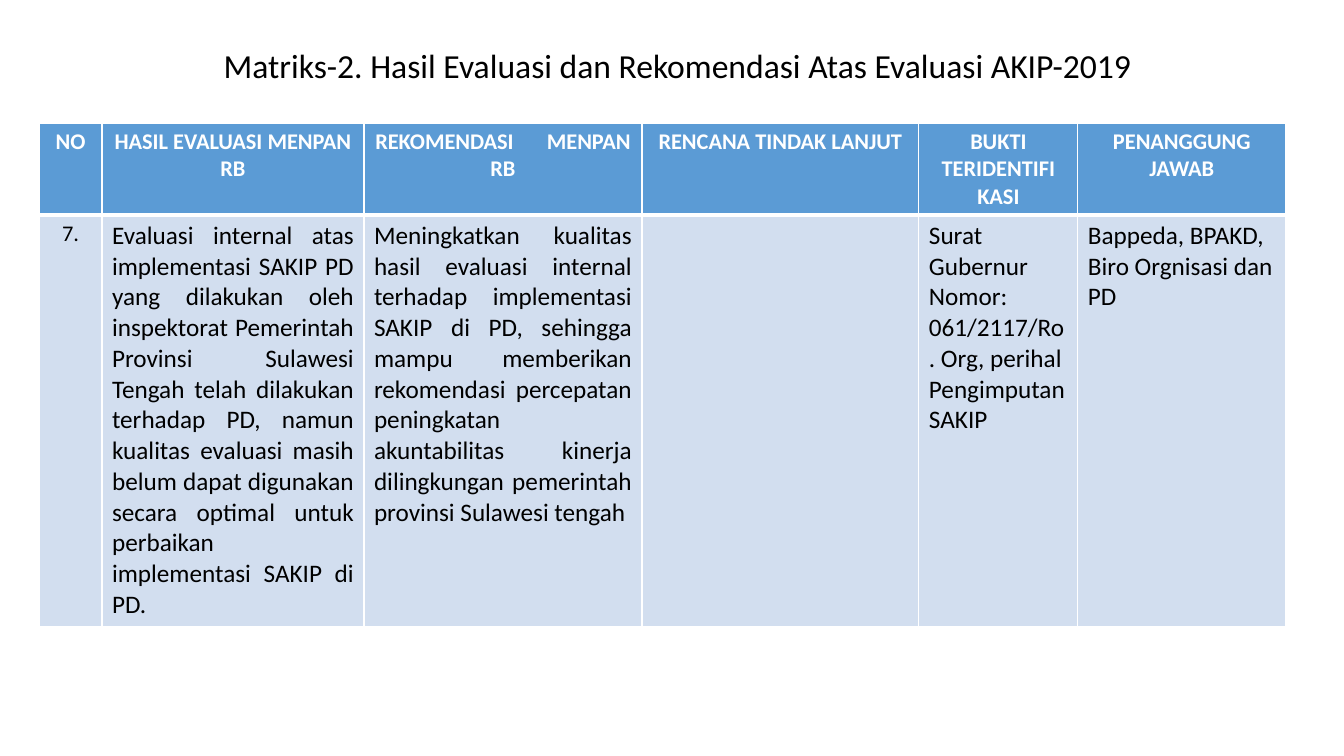
from lxml import etree
from pptx import Presentation
from pptx.dml.color import RGBColor
from pptx.enum.text import MSO_ANCHOR, MSO_AUTO_SIZE, PP_ALIGN
from pptx.oxml.ns import qn
from pptx.util import Emu, Pt

LEFT, CENTER, JUSTIFY = PP_ALIGN.LEFT, PP_ALIGN.CENTER, PP_ALIGN.JUSTIFY
TOP = MSO_ANCHOR.TOP
NO_AUTOFIT = MSO_AUTO_SIZE.NONE
WHITE = RGBColor(0xFF, 0xFF, 0xFF)
BLACK = RGBColor(0, 0, 0)
BLUE = RGBColor(0x5B, 0x9B, 0xD5)
PALE_BLUE = RGBColor(0xD2, 0xDE, 0xEF)
EMU_PER_PX = 914400 / 100.8

TITLE = "Matriks-2. Hasil Evaluasi dan Rekomendasi Atas Evaluasi AKIP-2019"
COLUMN_WIDTHS = [63, 262, 278, 277, 159, 208]
ROW_HEIGHTS = [91, 411]
# Each cell is a list of spans; a number after a span widens its last space
HEADINGS = ["NO", "HASIL EVALUASI MENPAN RB", "REKOMENDASI MENPAN RB",
            "RENCANA TINDAK LANJUT", "BUKTI TERIDENTIFI KASI", "PENANGGUNG JAWAB"]
FINDING = [
    ("7.", 16, CENTER),
    ("Evaluasi internal atas implementasi SAKIP PD yang dilakukan oleh inspektorat "
     "Pemerintah Provinsi Sulawesi Tengah telah dilakukan terhadap PD, namun kualitas "
     "evaluasi masih belum dapat digunakan secara optimal untuk perbaikan implementasi "
     "SAKIP di PD.", 18, JUSTIFY),
    ("Meningkatkan kualitas hasil evaluasi internal terhadap implementasi SAKIP di PD, "
     "sehingga mampu memberikan rekomendasi percepatan peningkatan akuntabilitas kinerja "
     "dilingkungan pemerintah provinsi Sulawesi tengah", 18, JUSTIFY),
    ("", 18, LEFT),
    ("Surat Gubernur Nomor: 061/2117/Ro. Org, perihal Pengimputan SAKIP", 18, LEFT),
    ("Bappeda, BPAKD, Biro Orgnisasi dan PD", 18, LEFT),
]


def px(length):
    return Emu(round(length * EMU_PER_PX))


class SlideBuilder:
    font = "Calibri"

    def __init__(self, deck):
        self.slide = deck.slides.add_slide(deck.slide_layouts[5])

    def format_span(self, span, size, color, bold=False):
        span.font.name = self.font
        span.font.size = Pt(size)
        span.font.bold = bold
        span.font.color.rgb = color

    def title(self, text, left, top, width, height):
        box = self.slide.shapes.title
        box.left, box.top, box.width, box.height = map(px, (left, top, width, height))
        frame = box.text_frame
        frame.text = text
        frame.word_wrap = True
        frame.auto_size = NO_AUTOFIT
        frame.vertical_anchor = TOP
        para = frame.paragraphs[0]
        para.alignment = CENTER
        self.format_span(para.runs[0], 24, BLACK)

    def table(self, left, top, widths, heights):
        table = self.slide.shapes.add_table(
            len(heights), len(widths), px(left), px(top),
            px(sum(widths)), px(sum(heights))).table
        for column, width in zip(table.columns, widths):
            column.width = px(width)
        for row, height in zip(table.rows, heights):
            row.height = px(height)
        return table

    def borders(self, cell, **points):
        properties = cell._tc.get_or_add_tcPr()
        for side in "LRTB":
            line = etree.SubElement(properties, qn(f"a:ln{side}"),
                                    w=str(Pt(points.get(side, 1))))
            fill = etree.SubElement(line, qn("a:solidFill"))
            etree.SubElement(fill, qn("a:srgbClr"), val=str(WHITE))

    def cell(self, cell, text, size, alignment, color, fill, bold=False, **points):
        self.borders(cell, **points)
        cell.fill.solid()
        cell.fill.fore_color.rgb = fill
        para = cell.text_frame.paragraphs[0]
        para.text = text
        para.alignment = alignment
        for span in para.runs:
            self.format_span(span, size, color, bold)

    def widen_first_space(self, cell, points):
        para = cell.text_frame.paragraphs[0]
        first = para.runs[0]
        before, after = first.text.split(" ", 1)
        first.text = before
        for text in (" ", after):
            span = para.add_run()
            span.text = text
            self.format_span(span, first.font.size.pt, first.font.color.rgb, first.font.bold)
        para.runs[1].font._element.set("spc", str(points * 100))


def main():
    deck = Presentation()
    deck.slide_width, deck.slide_height = px(1344), px(756)
    page = SlideBuilder(deck)
    page.title(TITLE, 57, 40, 1241, 51)

    # Evaluation matrix
    matrix = page.table(39, 123, COLUMN_WIDTHS, ROW_HEIGHTS)
    for column, heading in enumerate(HEADINGS):
        page.cell(matrix.cell(0, column), heading, 16, CENTER, WHITE, BLUE, bold=True, B=3)
    for column, (text, size, alignment) in enumerate(FINDING):
        page.cell(matrix.cell(1, column), text, size, alignment, BLACK, PALE_BLUE, T=3)

    # The recommendation heading spans its column
    page.widen_first_space(matrix.cell(0, 2), 20)
    deck.save("out.pptx")


if __name__ == "__main__":
    main()
